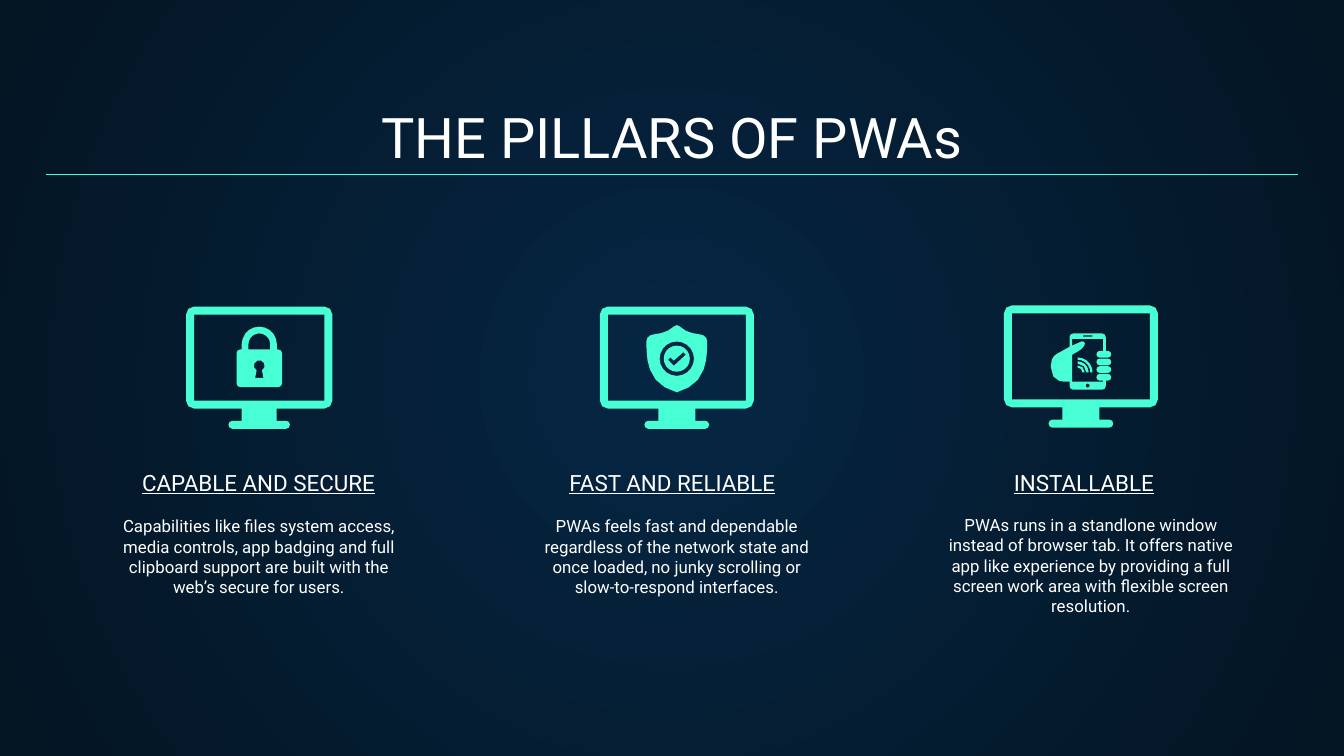
import math

import pptx
import pptx.dml.color
import pptx.enum.shapes
import pptx.enum.text
import pptx.oxml
import pptx.oxml.ns
import pptx.util

Pt = pptx.util.Pt
ALIGN = pptx.enum.text.PP_ALIGN
ANCHOR = pptx.enum.text.MSO_ANCHOR

# Content: box places are (left, top, width, height) in points
TITLE = "THE PILLARS OF PWAs"
TITLE_BOX = (24.5, 50.4, 671, 47.5)
RULE = (24.5, 93.6, 695.5)
HEADING_TOP, HEADING_WIDTH, HEADING_HEIGHT = 257.8, 163.4, 15.1
PILLARS = [
    {
        "heading": "CAPABLE AND SECURE",
        "heading_left": 56.9,
        "body": "Capabilities like files system access, media controls, app badging "
                "and full clipboard support are built with the web’s secure for users.",
        "body_box": (56.9, 269.3, 163.4, 33.8),
        "icon": "padlock", "icon_center": 138.9, "icon_top": 164.2, "icon_width": 78.4,
    },
    {
        "heading": "FAST AND RELIABLE",
        "heading_left": 278.6,
        "body": "PWAs feels fast and dependable regardless of the network state and "
                "once loaded, no junky scrolling or\vslow-to-respond interfaces.",
        "body_box": (278.6, 269.3, 167.8, 42.5),
        "icon": "shield", "icon_center": 362.6, "icon_top": 164.2, "icon_width": 82.5,
    },
    {
        "heading": "INSTALLABLE",
        "heading_left": 499,
        "body": "PWAs runs in a standlone window instead of browser tab. It offers "
                "native app like experience by providing a full screen work area "
                "with flexible screen resolution.",
        "body_box": (500.4, 268.6, 167.8, 33.8),
        "icon": "phone", "icon_center": 579.1, "icon_top": 163.6, "icon_width": 82.5,
    },
]

THEME = {
    "font": "Roboto", "title": 30, "heading": 12, "body": 9,
    "text": "FFFFFF", "accent": "48FFD5", "center": "052643", "edge": "041523",
}


def color(name):
    return pptx.dml.color.RGBColor.from_string(THEME[name])


# Outline geometry: every function returns a list of (x, y) points
def arc(x, y, radius, start, stop):
    steps = math.ceil(abs(stop - start) / (45 if radius < 5 else 18))
    angles = [math.radians(start + (stop - start) * i / steps) for i in range(steps + 1)]
    return [(x + radius * math.cos(a), y + radius * math.sin(a)) for a in angles]


def circle(x, y, radius):
    return arc(x, y, radius, 0, 360)[:-1]


def box(left, top, right, bottom, radius=0):
    if not radius:
        return [(left, top), (right, top), (right, bottom), (left, bottom)]
    return (arc(left + radius, top + radius, radius, 180, 270)
            + arc(right - radius, top + radius, radius, 270, 360)
            + arc(right - radius, bottom - radius, radius, 0, 90)
            + arc(left + radius, bottom - radius, radius, 90, 180))


def curve(*controls, steps=3):
    weights = (1, 3, 3, 1)
    return [tuple(sum(w * (1 - t) ** (3 - k) * t ** k * point[axis]
                      for k, (w, point) in enumerate(zip(weights, controls)))
                  for axis in (0, 1))
            for t in (i / steps for i in range(1, steps + 1))]


# Icons: each returns a list of shapes, each shape a list of contours,
# measured from the top centre of the monitor
def monitor(width):
    half, neck, foot = width / 2, width * 0.12, width * 0.21
    return [[box(-half, 0, half, 54.7, 4.3),
             box(-half + 4.3, 4.3, half - 4.3, 50.4),
             box(-neck, 54.7, neck, 61.2),
             box(-foot, 61.2, foot, 65.5, 2.1)]]


def padlock():
    shackle = arc(0, 20.2, 9.4, 180, 360) + [(9.4, 23), (5.8, 23)]
    shackle += arc(0, 20.2, 5.8, 0, -180) + [(-5.8, 23), (-9.4, 23)]
    keyhole = arc(0, 31.7, 2.9, 120, 420) + [(2.2, 38.2), (-2.2, 38.2)]
    return [[shackle, box(-12.2, 23, 12.2, 43.2, 2), keyhole]]


def shield():
    right = ([(0, 10), (1.5, 10.7)]
             + curve((1.5, 10.7), (4.5, 13.5), (8, 14.5), (12.4, 15))
             + curve((12.4, 15), (14.5, 15.2), (16.3, 16.6), (16.3, 18.6))
             + curve((16.3, 18.6), (16.3, 23.7), (16.2, 29), (14.4, 33.8))
             + curve((14.4, 33.8), (12.2, 40.2), (7, 44), (0, 46)))
    left = [(-x, y) for x, y in reversed(right[1:-1])]
    tick = [(-4.7, 28.6), (-3.4, 27.3), (-1.6, 29), (3.5, 24.5), (4.8, 25.9), (-1.6, 31.8)]
    return [[circle(0, 28, 7), tick], [right + left, circle(0, 28, 9.2)]]


def phone():
    case = ([(13.3, 24.4)]
            + arc(11.3, 17, 2, 0, -90) + arc(-4.1, 17, 2, 270, 180)
            + [(-6.1, 22.2), (-12.6, 25.8)]
            + curve((-12.6, 25.8), (-14.2, 26.6), (-16.2, 28), (-16.2, 33))
            + curve((-16.2, 33), (-16.2, 40), (-11, 40.9), (-9, 40.9))
            + [(-6.1, 40.9)]
            + arc(-4.1, 43.2, 2, 180, 90) + arc(11.3, 43.2, 2, 90, 0)
            + [(13.3, 40.2), (11.9, 40.2), (11.9, 40.9), (-4.7, 40.9), (-4.7, 26.5)]
            + curve((-4.7, 26.5), (-2.5, 25), (1, 23.6), (1.8, 21.5))
            + curve((1.8, 21.5), (2.5, 20), (1.8, 19.3), (0.4, 19.3))
            + [(-4.7, 21.5), (-4.7, 17.9), (11.9, 17.9), (11.9, 24.4)])
    fingers = [box(8.3, 24.4 + 4.1 * i, 16.2, 28 + 4.1 * i, 1.7) for i in range(4)]
    waves = [arc(-1.8, 35.9, radius, -90, 0) + arc(-1.8, 35.9, radius - 1.2, 0, -90)
             for radius in (8, 5.9, 3.8)]
    speaker_and_button = [box(1.1, 16.1, 6.1, 16.8), circle(3.6, 43, 1.1)]
    return [[case, *fingers, *waves, *speaker_and_button]]


SYMBOLS = {"padlock": padlock, "shield": shield, "phone": phone}


# Drawing helpers
def draw_outline(slide, contours, center, top):
    placed = [[(Pt(center + x), Pt(top + y)) for x, y in contour] for contour in contours]
    builder = slide.shapes.build_freeform(*placed[0][0], scale=1.0)
    builder.add_line_segments(placed[0][1:])
    for contour in placed[1:]:
        builder.move_to(*contour[0])
        builder.add_line_segments(contour[1:])
    shape = builder.convert_to_shape()
    shape.shadow.inherit = False
    shape.fill.solid()
    shape.fill.fore_color.rgb = color("accent")
    shape.line.fill.background()


def set_text(shape, text, size, anchor, underline=None):
    frame = shape.text_frame
    frame.text = text
    frame.word_wrap = True
    frame.auto_size = pptx.enum.text.MSO_AUTO_SIZE.NONE
    frame.vertical_anchor = anchor
    frame.margin_left = frame.margin_right = Pt(7.2)
    frame.margin_top = frame.margin_bottom = Pt(7.2)
    paragraph = frame.paragraphs[0]
    paragraph.alignment = ALIGN.CENTER
    font = paragraph.font
    font.name, font.size, font.underline = THEME["font"], Pt(THEME[size]), underline
    font.color.rgb = color("text")


def set_background(slide):
    fill = slide.background.fill
    fill.gradient()
    for stop, name, position in zip(fill.gradient_stops, ("center", "edge"), (0, 1)):
        stop.color.rgb = color(name)
        stop.position = position
    qn = pptx.oxml.ns.qn
    gradient = slide.element.find(".//" + qn("a:gradFill"))
    gradient.replace(gradient.find(qn("a:lin")), pptx.oxml.parse_xml(
        f'<a:path {pptx.oxml.ns.nsdecls("a")} path="circle">'
        '<a:fillToRect l="50000" t="50000" r="50000" b="50000"/></a:path>'))


def main():
    presentation = pptx.Presentation()
    presentation.slide_width, presentation.slide_height = Pt(720), Pt(405)
    slide = presentation.slides.add_slide(presentation.slide_layouts[5])
    set_background(slide)

    # Title
    title = slide.shapes.title
    title.left, title.top, title.width, title.height = map(Pt, TITLE_BOX)
    set_text(title, TITLE, "title", ANCHOR.BOTTOM)

    # Pillars: body, heading and icon
    for pillar in PILLARS:
        body = slide.shapes.add_textbox(*map(Pt, pillar["body_box"]))
        set_text(body, pillar["body"], "body", ANCHOR.TOP)
        heading_box = (pillar["heading_left"], HEADING_TOP, HEADING_WIDTH, HEADING_HEIGHT)
        heading = slide.shapes.add_textbox(*map(Pt, heading_box))
        set_text(heading, pillar["heading"], "heading", ANCHOR.BOTTOM, underline=True)
        for contours in monitor(pillar["icon_width"]) + SYMBOLS[pillar["icon"]]():
            draw_outline(slide, contours, pillar["icon_center"], pillar["icon_top"])

    # Rule under the title
    left, top, right = map(Pt, RULE)
    rule = slide.shapes.add_connector(
        pptx.enum.shapes.MSO_CONNECTOR.STRAIGHT, left, top, right, top)
    rule.line.color.rgb = color("accent")
    rule.line.width = Pt(0.75)
    rule.element.spPr.append(pptx.oxml.parse_xml(
        f'<a:effectLst {pptx.oxml.ns.nsdecls("a")}/>'))

    presentation.save("out.pptx")


if __name__ == "__main__":
    main()
